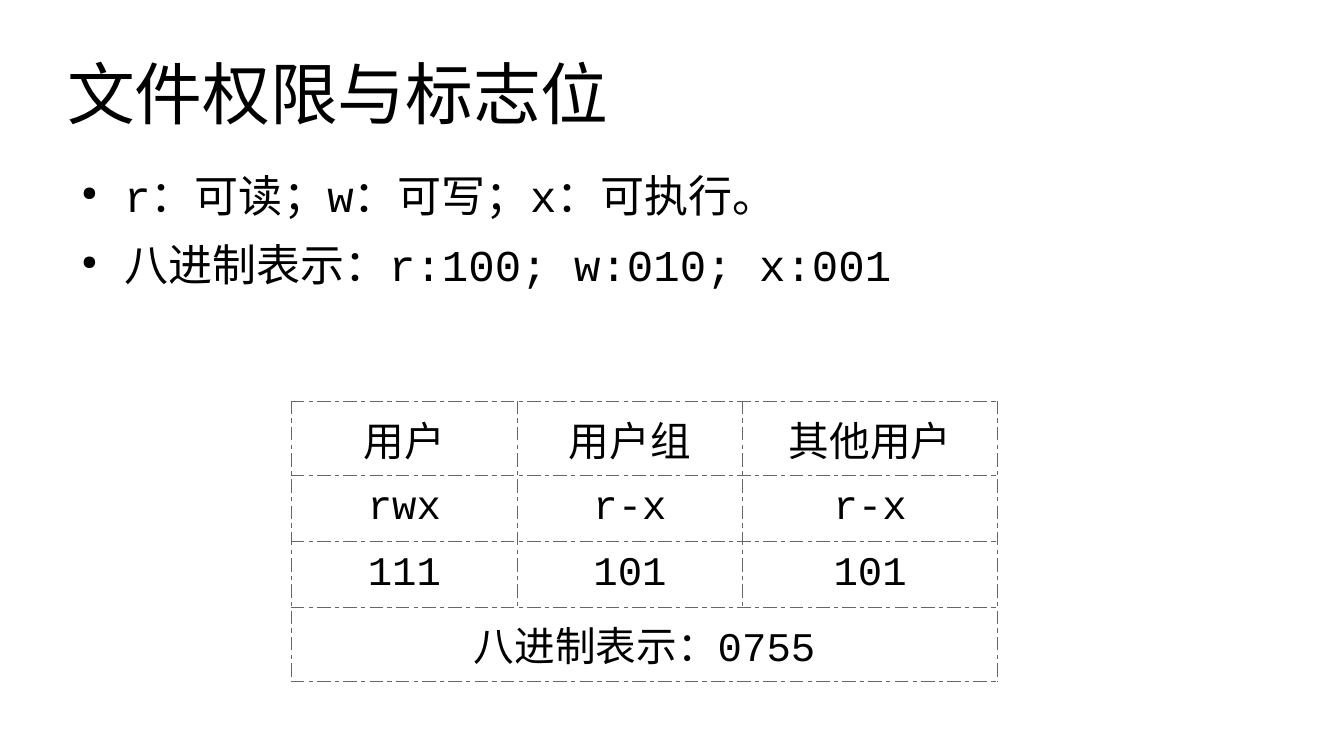
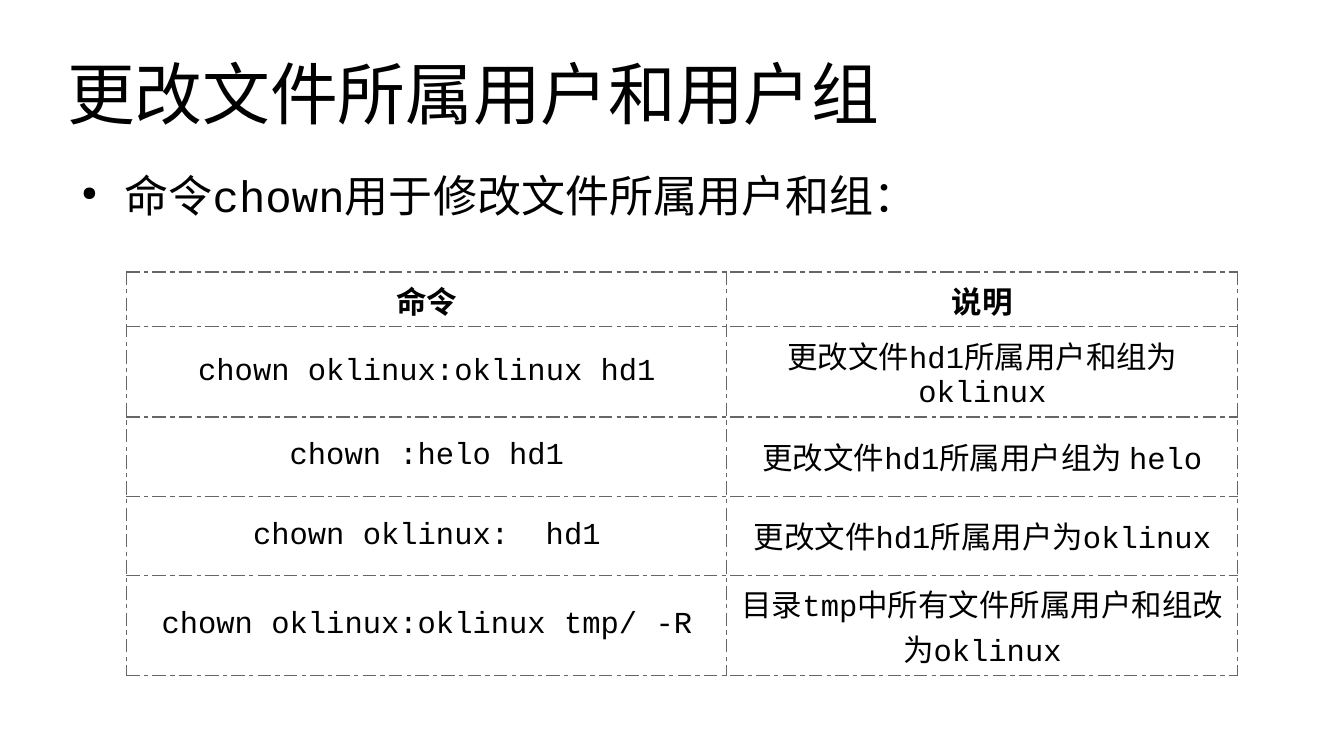
"""Two slides on file permissions and file ownership."""
from lxml.etree import SubElement
from pptx import Presentation
from pptx.dml.color import RGBColor
from pptx.enum.text import MSO_ANCHOR, PP_ALIGN
from pptx.oxml.ns import qn
from pptx.util import Inches, Pt

COLORS = {"text": "000000", "border": "666666"}
FONT = "Courier New"
LEFT, WIDTH = 0.55, 9.92
TITLE_TOP, TITLE_HEIGHT, TITLE_SIZE = 0.25, 1.01, 40
BODY_TOP, BODY_HEIGHT, BODY_SIZE = 1.45, 3.6, 26

SLIDES = [
    {
        "title": "文件权限与标志位",
        "bullets": ["r：可读；w：可写；x：可执行。", "八进制表示：r:100; w:010; x:001"],
        "table": {
            "at": (2.39, 3.29),
            "columns": [1.85, 1.85, 2.09],
            "heights": [0.61, 0.54, 0.54, 0.61],
            "size": 24,
            "bold_header": False,
            "rows": [
                ["用户", "用户组", "其他用户"],
                ["rwx", "r-x", "r-x"],
                ["111", "101", "101"],
                ["八进制表示：0755"],
            ],
        },
    },
    {
        "title": "更改文件所属用户和用户组",
        "bullets": ["命令chown用于修改文件所属用户和组："],
        "table": {
            "at": (1.04, 2.23),
            "columns": [4.92, 4.19],
            "heights": [0.45, 0.74, 0.65, 0.65, 0.82],
            "size": 18,
            "bold_header": True,
            "rows": [
                ["命令", "说明"],
                ["chown oklinux:oklinux hd1", "更改文件hd1所属用户和组为oklinux"],
                ["chown :helo hd1", "更改文件hd1所属用户组为 helo"],
                ["chown oklinux:  hd1", "更改文件hd1所属用户为oklinux"],
                ["chown oklinux:oklinux tmp/ -R", "目录tmp中所有文件所属用户和组改为oklinux"],
            ],
        },
    },
]


def style(paragraph, size, bold=False):
    for run in paragraph.runs:
        run.font.name = FONT
        run.font.size = Pt(size)
        run.font.bold = bold
        run.font.color.rgb = RGBColor.from_string(COLORS["text"])


def add_text(slide, top, height, lines, size, anchor):
    box = slide.shapes.add_textbox(Inches(LEFT), Inches(top), Inches(WIDTH), Inches(height))
    frame = box.text_frame
    frame.word_wrap = True
    frame.vertical_anchor = anchor
    frame.margin_left = frame.margin_right = frame.margin_top = frame.margin_bottom = 0
    frame.text = "\n".join(lines)
    for paragraph in frame.paragraphs:
        style(paragraph, size)
    return frame.paragraphs


def add_bullets(slide, lines):
    paragraphs = add_text(slide, BODY_TOP, BODY_HEIGHT, lines, BODY_SIZE, MSO_ANCHOR.TOP)
    for index, paragraph in enumerate(paragraphs):
        paragraph.line_spacing = 0.85
        if index:
            paragraph.space_before = Pt(14.2)
        props = paragraph._p.get_or_add_pPr()
        props.set("marL", str(Inches(0.47)))
        props.set("indent", str(Inches(-0.35)))
        color = SubElement(props, qn("a:buClr"))
        SubElement(color, qn("a:srgbClr"), val=COLORS["text"])
        SubElement(props, qn("a:buSzPct"), val="45000")
        SubElement(props, qn("a:buChar"), char="●")


def add_borders(cell):
    props = cell._tc.get_or_add_tcPr()
    for side in ("a:lnL", "a:lnR", "a:lnT", "a:lnB"):
        line = SubElement(props, qn(side), w=str(Pt(0.85)))
        fill = SubElement(line, qn("a:solidFill"))
        SubElement(fill, qn("a:srgbClr"), val=COLORS["border"])
        SubElement(line, qn("a:prstDash"), val="dashDot")


def add_table(slide, data):
    columns, heights, rows = data["columns"], data["heights"], data["rows"]
    left, top = data["at"]
    table = slide.shapes.add_table(
        len(rows), len(columns), Inches(left), Inches(top),
        Inches(sum(columns)), Inches(sum(heights)),
    ).table
    table.first_row = table.horz_banding = False
    for column, width in zip(table.columns, columns):
        column.width = Inches(width)
    for row, height in zip(table.rows, heights):
        row.height = Inches(height)
    for cell in table.iter_cells():
        add_borders(cell)
        cell.fill.background()
        cell.vertical_anchor = MSO_ANCHOR.MIDDLE
    for r, texts in enumerate(rows):
        if len(texts) == 1:
            table.cell(r, 0).merge(table.cell(r, len(columns) - 1))
        for c, text in enumerate(texts):
            frame = table.cell(r, c).text_frame
            frame.text = text
            paragraph = frame.paragraphs[0]
            paragraph.alignment = PP_ALIGN.CENTER
            style(paragraph, data["size"], data["bold_header"] and r == 0)


def main():
    deck = Presentation()
    deck.slide_width, deck.slide_height = Inches(11.02), Inches(6.2)
    for content in SLIDES:
        slide = deck.slides.add_slide(deck.slide_layouts[6])
        add_text(slide, TITLE_TOP, TITLE_HEIGHT, [content["title"]], TITLE_SIZE, MSO_ANCHOR.MIDDLE)
        add_bullets(slide, content["bullets"])
        add_table(slide, content["table"])
    deck.save("out.pptx")


if __name__ == "__main__":
    main()
